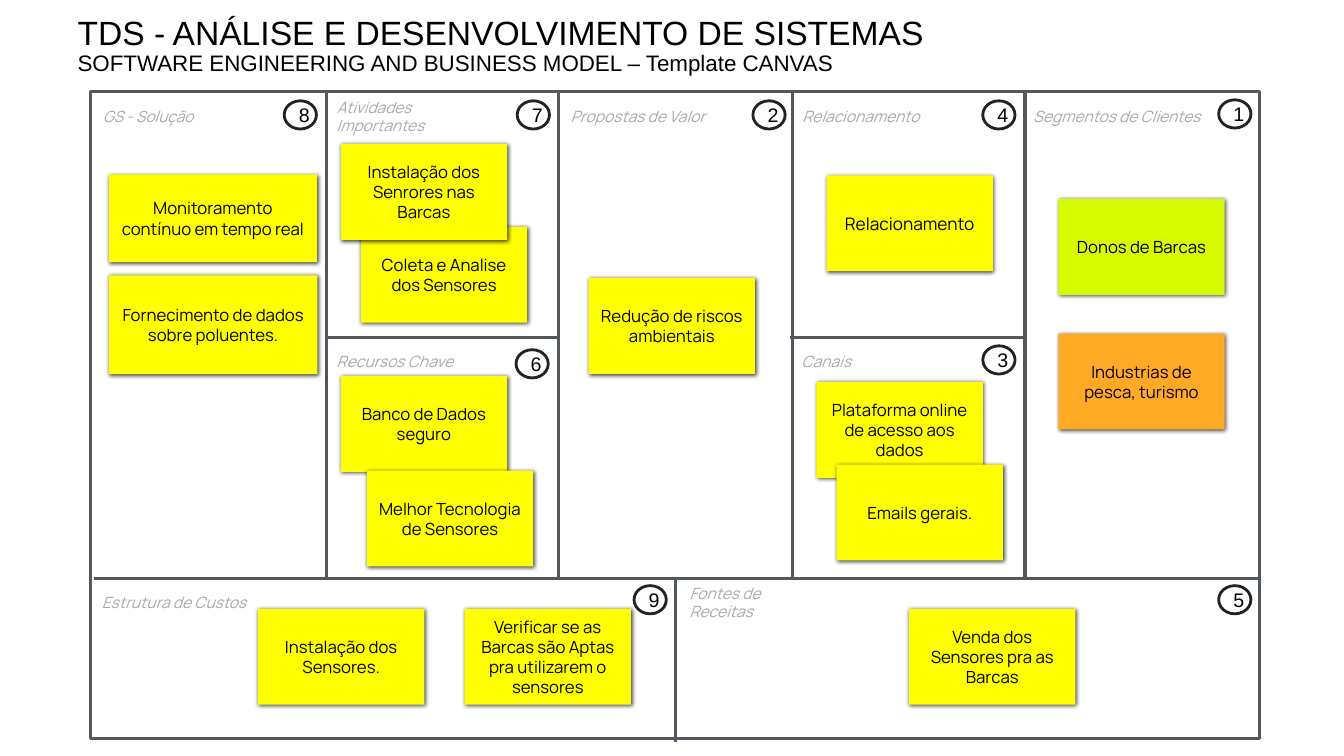
from dataclasses import dataclass

from lxml.etree import SubElement
from pptx import Presentation
from pptx.dml.color import RGBColor
from pptx.enum.shapes import MSO_CONNECTOR, MSO_SHAPE
from pptx.enum.text import MSO_ANCHOR, MSO_AUTO_SIZE, PP_ALIGN
from pptx.oxml.ns import qn
from pptx.slide import Slide
from pptx.text.text import TextFrame
from pptx.util import Pt

BLACK = RGBColor(0x00, 0x00, 0x00)
GRID = RGBColor(0x53, 0x58, 0x5F)
LABEL_GREY = RGBColor(0xA6, 0xAA, 0xA9)
BADGE_LINE = RGBColor(0x21, 0x23, 0x23)
YELLOW = RGBColor(0xFF, 0xFF, 0x00)
LIME = RGBColor(0xD7, 0xFB, 0x01)
ORANGE = RGBColor(0xFF, 0xA9, 0x24)

GRID_WIDTH = 2.25
NOTE_W, NOTE_H = 118.8, 68.4
BADGE_W, BADGE_H = 23.04, 20.16


@dataclass
class Rule:
    x1: float
    y1: float
    x2: float
    y2: float


@dataclass
class Label:
    text: str
    x: float
    y: float
    w: float
    h: float = 18
    size: float = 11.1


@dataclass
class Note:
    text: str
    x: float
    y: float
    w: float = NOTE_W
    h: float = NOTE_H
    fill: RGBColor = YELLOW
    size: float = 12


@dataclass
class Badge:
    number: int
    x: float
    y: float


TITLE = [
    ("TDS - ANÁLISE E DESENVOLVIMENTO DE SISTEMAS", 24),
    ("SOFTWARE ENGINEERING AND BUSINESS MODEL – Template CANVAS", 16),
]

RULES = [
    Rule(67, 413.3, 898.6, 413.3),
    *(Rule(x, 66.2, x, 411.8) for x in (732.2, 233.3, 398.9, 565.9)),
    Rule(233.3, 241.2, 400.3, 241.2),
    Rule(564.5, 241.2, 731.5, 241.2),
    Rule(482.4, 529.9, 482.4, 413.3),
]

LABELS = [
    Label("Segmentos de Clientes", 733.7, 74.2, 130.3),
    Label("Relacionamento", 568.8, 74.2, 113),
    Label("Propostas de Valor", 403.2, 74.2, 109.4),
    Label("Atividades Importantes", 236.2, 74.2, 100.8, size=11),
    Label("GS - Solução", 69.1, 71.3, 130.3, 23.8, 11),
    Label("Fontes de Receitas", 488.2, 421.2, 102.2),
    Label("Estrutura de Custos", 68.4, 421.2, 113),
    Label("Recursos Chave", 236.2, 249.1, 95.8),
    Label("Canais", 568.1, 249.1, 102.2),
]

# Back to front: overlapping notes depend on this order
NOTES = [
    Note("Industrias de pesca, turismo", 756, 238.3, fill=ORANGE),
    Note("Donos de Barcas", 756, 142.2, fill=LIME),
    Note("Redução de riscos ambientais", 420.5, 198.7),
    Note("Plataforma online de acesso aos dados", 583.2, 272.9),
    Note("Relacionamento", 590.4, 125.3, size=12.3),
    Note("Venda dos Sensores pra as Barcas", 649.4, 434.9),
    Note("Instalação dos Sensores.", 184.3, 434.9),
    Note("Verificar se as Barcas são Aptas pra utilizarem o sensores", 331.9, 434.9),
    Note("Banco de Dados seguro", 243.4, 268.6),
    Note("Coleta e Analise dos Sensores", 257.8, 162),
    Note("Monitoramento contínuo em tempo real", 77.8, 124.6, 148.6, 62.6),
    Note("Emails gerais.", 597.6, 331.9),
    Note("Melhor Tecnologia de Sensores", 262.1, 336.2),
    Note("Instalação dos Senrores nas Barcas", 243.4, 103),
    Note("Fornecimento de dados sobre poluentes.", 77.8, 196.6, 149, 70.6),
]

BADGES = [
    Badge(1, 870.5, 71.3),
    Badge(4, 702, 72),
    Badge(2, 537.8, 72),
    Badge(9, 452.9, 418.3),
    Badge(5, 870.5, 418.3),
    Badge(3, 702, 247),
    Badge(6, 368.6, 249.8),
    Badge(7, 369.4, 72),
    Badge(8, 203, 72),
]


def set_insets(tf: TextFrame, inset: float) -> None:
    tf.margin_left = tf.margin_right = Pt(inset)
    tf.margin_top = tf.margin_bottom = Pt(inset)


def write(tf: TextFrame, text: str, size: float, font: str, color: RGBColor,
          align: PP_ALIGN, italic: bool = False) -> None:
    tf.word_wrap = True
    tf.vertical_anchor = MSO_ANCHOR.MIDDLE
    p = tf.paragraphs[0]
    p.alignment = align
    r = p.add_run()
    r.text = text
    r.font.size, r.font.name, r.font.italic = Pt(size), font, italic
    r.font.color.rgb = color


def add_title(s: Slide) -> None:
    sp = s.shapes.title
    sp.left, sp.top, sp.width, sp.height = Pt(48.2), Pt(7.9), Pt(730.8), Pt(51.1)
    tf = sp.text_frame
    tf.word_wrap = True
    tf.auto_size = MSO_AUTO_SIZE.SHAPE_TO_FIT_TEXT
    tf.vertical_anchor = MSO_ANCHOR.TOP
    for i, (text, size) in enumerate(TITLE):
        p = tf.add_paragraph() if i else tf.paragraphs[0]
        p.alignment = PP_ALIGN.LEFT
        p.line_spacing = 0.9
        p.space_before = p.space_after = Pt(0)
        r = p.add_run()
        r.text = text
        r.font.size, r.font.name = Pt(size), "Arial"
        r.font.color.rgb = BLACK


def add_frame(s: Slide) -> None:
    sp = s.shapes.add_shape(MSO_SHAPE.RECTANGLE, Pt(64.8), Pt(65.5), Pt(835.2), Pt(462.2))
    sp.shadow.inherit = False
    sp.fill.background()
    sp.line.color.rgb, sp.line.width = GRID, Pt(GRID_WIDTH)


def add_rule(s: Slide, rule: Rule) -> None:
    cn = s.shapes.add_connector(MSO_CONNECTOR.STRAIGHT, Pt(rule.x1), Pt(rule.y1),
                                Pt(rule.x2), Pt(rule.y2))
    cn.line.color.rgb, cn.line.width = GRID, Pt(GRID_WIDTH)
    SubElement(cn._element.spPr, qn("a:effectLst"))


def add_label(s: Slide, label: Label) -> None:
    sp = s.shapes.add_textbox(Pt(label.x), Pt(label.y), Pt(label.w), Pt(label.h))
    set_insets(sp.text_frame, 4.3)
    write(sp.text_frame, label.text, label.size, "Manrope", LABEL_GREY, PP_ALIGN.LEFT, True)


def add_note(s: Slide, note: Note) -> None:
    sp = s.shapes.add_shape(MSO_SHAPE.RECTANGLE, Pt(note.x), Pt(note.y), Pt(note.w), Pt(note.h))
    sp.fill.solid()
    sp.fill.fore_color.rgb = note.fill
    sp.line.fill.background()
    sp.shadow.inherit = False
    effects = sp._element.spPr.find(qn("a:effectLst"))
    shadow = SubElement(effects, qn("a:outerShdw"), blurRad=str(Pt(3)), dist=str(Pt(1)),
                        dir=str(45 * 60000), algn="ctr", rotWithShape="0")
    color = SubElement(shadow, qn("a:srgbClr"), val=str(BLACK))
    SubElement(color, qn("a:alpha"), val="75000")
    set_insets(sp.text_frame, 8.6)
    write(sp.text_frame, note.text, note.size, "Manrope", BLACK, PP_ALIGN.CENTER)


def add_badge(s: Slide, badge: Badge) -> None:
    sp = s.shapes.add_shape(MSO_SHAPE.OVAL, Pt(badge.x), Pt(badge.y), Pt(BADGE_W), Pt(BADGE_H))
    sp.shadow.inherit = False
    sp.fill.background()
    sp.line.color.rgb, sp.line.width = BADGE_LINE, Pt(2)
    write(sp.text_frame, str(badge.number), 14, "Arial", BLACK, PP_ALIGN.CENTER)


def main() -> None:
    prs = Presentation()
    prs.slide_width, prs.slide_height = Pt(960), Pt(540)
    s = prs.slides.add_slide(prs.slide_layouts[5])
    add_title(s)
    # Canvas grid and block names
    add_frame(s)
    for rule in RULES:
        add_rule(s, rule)
    for label in LABELS:
        add_label(s, label)
    # Sticky notes and block numbers
    for note in NOTES:
        add_note(s, note)
    for badge in BADGES:
        add_badge(s, badge)
    prs.save("out.pptx")


if __name__ == "__main__":
    main()
